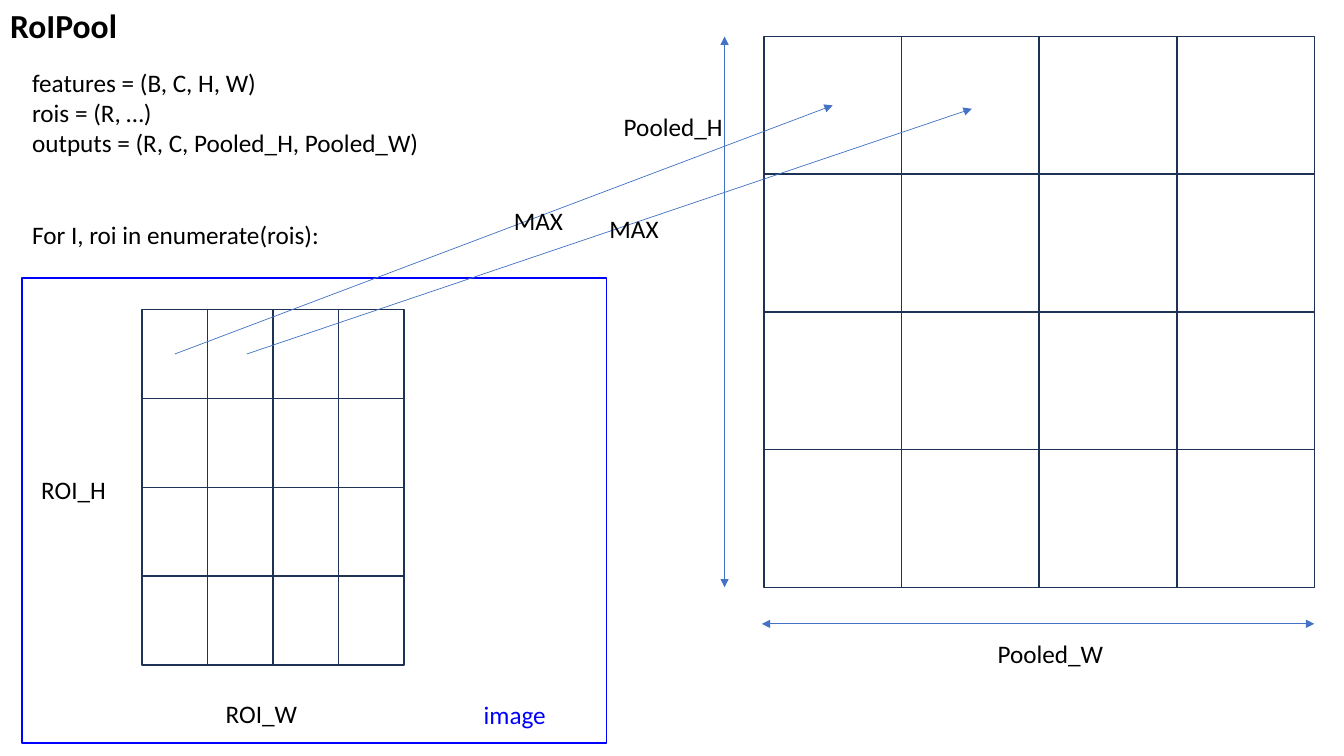
from dataclasses import dataclass
from itertools import product

from lxml import etree
from pptx import Presentation
from pptx import util as u
from pptx.dml import color
from pptx.enum import shapes, text
from pptx.oxml import ns


@dataclass(frozen=True)
class Theme:
    font: str = "Calibri"
    ink: str = "000000"
    blue: str = "0000FF"
    navy: str = "1E3256"
    arrow: str = "4472C4"
    title_pt: float = 24
    body_pt: float = 18
    outline_pt: float = 1
    arrow_pt: float = 0.5


@dataclass(frozen=True)
class Grid:
    left: float
    top: float
    cell_w: float
    cell_h: float
    count: int = 4

    def corner(self, col: int, row: int) -> tuple[float, float]:
        return self.left + col * self.cell_w, self.top + row * self.cell_h

    def center(self, col: int, row: int) -> tuple[float, float]:
        return self.corner(col + 0.5, row + 0.5)


@dataclass(frozen=True)
class Label:
    lines: tuple[str, ...]
    left: float
    top: float
    width: float
    height: float = 1.02
    wrap: bool = True
    colour: str = Theme.ink
    last_gap_pt: float = 0


@dataclass(frozen=True)
class Arrow:
    start: tuple[float, float]
    end: tuple[float, float]
    double: bool = False


THEME = Theme()
POOLED = Grid(19.25, 0.92, 3.47, 3.47)
ROI = Grid(3.58, 7.8, 1.65, 2.24)
GRIDS = (POOLED, ROI)
IMAGE_FRAME = (0.56, 7.01, 14.73, 11.71)

LABELS = (
    Label(("features = (B, C, H, W)", "rois = (R, …)",
           "outputs = (R, C, Pooled_H, Pooled_W)",
           "For I, roi in enumerate(rois):"),
          0.56, 1.57, 10.36, 5.64, wrap=False, last_gap_pt=44),
    Label(("Pooled_H",), 15.47, 2.67, 4.06),
    Label(("Pooled_W",), 24.89, 15.95, 4.06),
    Label(("ROI_H",), 0.79, 11.84, 2.31),
    Label(("ROI_W",), 5.44, 17.48, 3.1),
    Label(("image",), 11.94, 17.5, 3.1, colour=THEME.blue),
    Label(("MAX",), 12.7, 5.05, 1.75, wrap=False),
    Label(("MAX",), 15.11, 5.26, 1.75, wrap=False),
)

ARROWS = (
    Arrow((19.2, 15.72), (33.12, 15.72), double=True),
    Arrow((18.26, 0.92), (18.26, 14.8), double=True),
    Arrow(ROI.center(0, 0), POOLED.center(0, 0)),
    Arrow((6.22, 8.92), (24.49, 2.74)),
)


def set_format(target, values: dict) -> None:
    for name, value in values.items():
        setattr(target, name, value)


def place(sp, left: float, top: float, width: float, height: float) -> None:
    set_format(sp, {"left": u.Cm(left), "top": u.Cm(top),
                    "width": u.Cm(width), "height": u.Cm(height)})


def write(tf, lines: tuple[str, ...], size: float, colour: str,
          bold: bool, wrap: bool) -> None:
    set_format(tf, {
        "word_wrap": wrap, "auto_size": text.MSO_AUTO_SIZE.SHAPE_TO_FIT_TEXT,
        "vertical_anchor": text.MSO_ANCHOR.TOP})
    for i, line in enumerate(lines):
        p = tf.paragraphs[0] if i == 0 else tf.add_paragraph()
        p.alignment = text.PP_ALIGN.LEFT
        r = p.add_run()
        r.text = line
        set_format(r.font, {"name": THEME.font, "size": u.Pt(size), "bold": bold})
        r.font.color.rgb = color.RGBColor.from_string(colour)


def add_box(parent, left: float, top: float, width: float, height: float,
            colour: str) -> None:
    sp = parent.add_shape(shapes.MSO_SHAPE.RECTANGLE, u.Cm(left), u.Cm(top),
                          u.Cm(width), u.Cm(height))
    sp.shadow.inherit = False
    sp.fill.background()
    sp.line.color.rgb = color.RGBColor.from_string(colour)
    sp.line.width = u.Pt(THEME.outline_pt)


def add_grid(s, grid: Grid) -> None:
    group = s.shapes.add_group_shape()
    for row, col in product(range(grid.count), repeat=2):
        add_box(group.shapes, *grid.corner(col, row), grid.cell_w, grid.cell_h,
                THEME.navy)


def add_label(s, label: Label) -> None:
    sp = s.shapes.add_textbox(0, 0, 0, 0)
    place(sp, label.left, label.top, label.width, label.height)
    tf = sp.text_frame
    write(tf, label.lines, THEME.body_pt, label.colour, False, label.wrap)
    if label.last_gap_pt:
        tf.paragraphs[-1].space_before = u.Pt(label.last_gap_pt)


def add_arrow(s, arrow: Arrow) -> None:
    sp = s.shapes.add_connector(shapes.MSO_CONNECTOR.STRAIGHT,
                                *map(u.Cm, arrow.start + arrow.end))
    sp.line.color.rgb = color.RGBColor.from_string(THEME.arrow)
    sp.line.width = u.Pt(THEME.arrow_pt)
    ln = sp.line._get_or_add_ln()
    for tag in ("a:headEnd", "a:tailEnd") if arrow.double else ("a:tailEnd",):
        etree.SubElement(ln, ns.qn(tag), type="triangle")
    etree.SubElement(sp._element.spPr, ns.qn("a:effectLst"))


def main() -> None:
    prs = Presentation()
    set_format(prs, {"slide_width": u.Cm(33.87), "slide_height": u.Cm(19.05)})
    s = prs.slides.add_slide(prs.slide_layouts.get_by_name("Title Only"))
    title = s.shapes.title
    place(title, 0, 0, 8.56, 1.27)
    write(title.text_frame, ("RoIPool",), THEME.title_pt, THEME.ink, True, True)
    add_box(s.shapes, *IMAGE_FRAME, THEME.blue)
    for grid in GRIDS:
        add_grid(s, grid)
    for arrow in ARROWS:
        add_arrow(s, arrow)
    for label in LABELS:
        add_label(s, label)
    prs.save("out.pptx")


if __name__ == "__main__":
    main()
